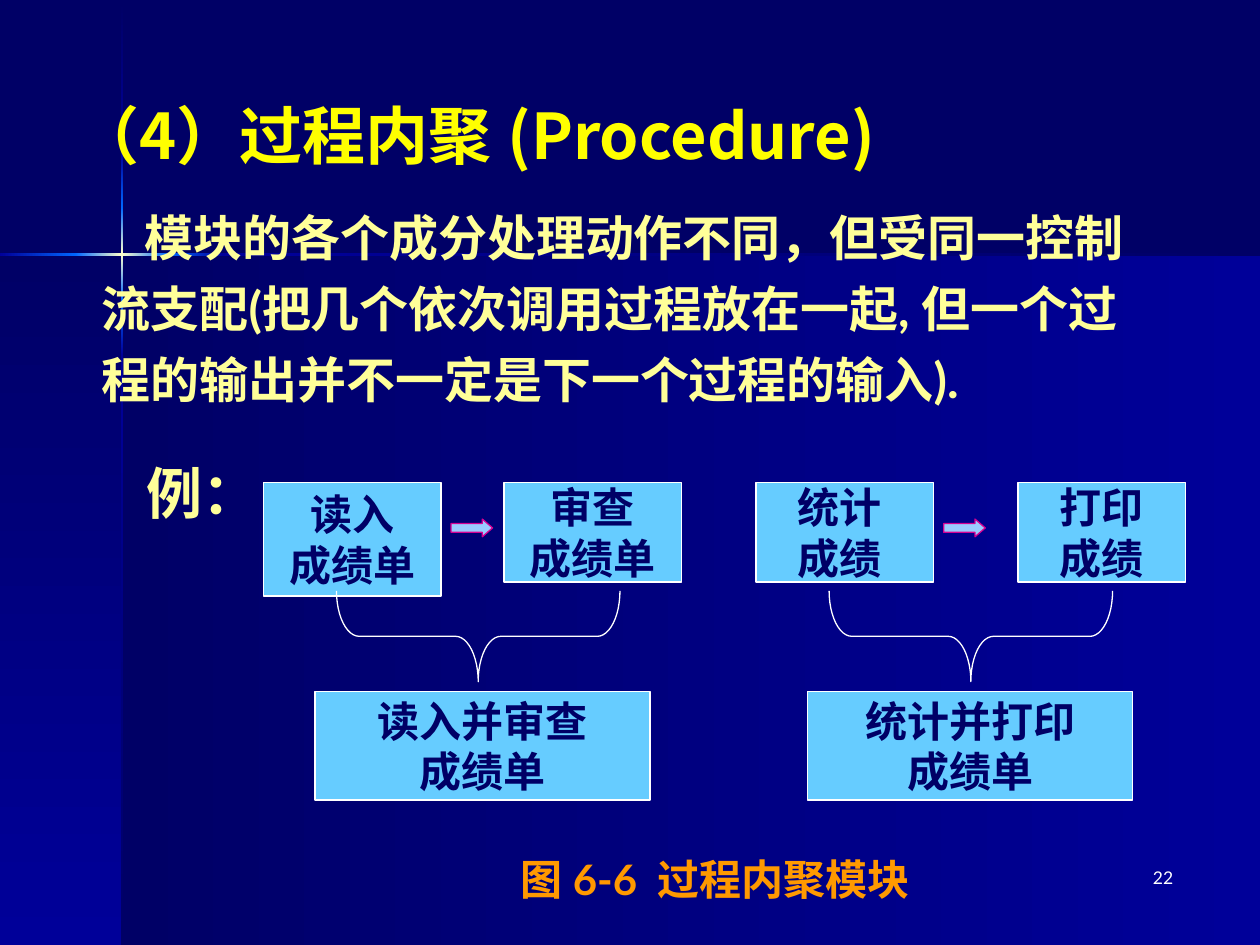
from copy import deepcopy

from lxml import etree
from pptx import Presentation
from pptx.dml.color import RGBColor
from pptx.enum.shapes import MSO_SHAPE
from pptx.enum.text import MSO_ANCHOR, MSO_AUTO_SIZE, PP_ALIGN
from pptx.oxml.ns import qn
from pptx.util import Inches, Pt

RECT, ARROW, BRACE = MSO_SHAPE.RECTANGLE, MSO_SHAPE.RIGHT_ARROW, MSO_SHAPE.RIGHT_BRACE
TOP, MIDDLE = MSO_ANCHOR.TOP, MSO_ANCHOR.MIDDLE
LEFT, CENTER, RIGHT = PP_ALIGN.LEFT, PP_ALIGN.CENTER, PP_ALIGN.RIGHT
NO_AUTOFIT = MSO_AUTO_SIZE.NONE

NAVY = RGBColor(0x00, 0x00, 0x66)
BLUE = RGBColor(0x00, 0x00, 0x99)
GLOW = RGBColor(0x00, 0x66, 0xFF)
CREAM = RGBColor(0xFF, 0xFF, 0xCC)
WHITE = RGBColor(0xFF, 0xFF, 0xFF)
YELLOW = RGBColor(0xFF, 0xFF, 0x00)
PALE_YELLOW = RGBColor(0xFF, 0xFF, 0x99)
ORANGE = RGBColor(0xFF, 0x99, 0x00)
SKY = RGBColor(0x66, 0xCC, 0xFF)
ARROW_BLUE = RGBColor(0x99, 0xCC, 0xFF)
MAGENTA = RGBColor(0xD6, 0x00, 0x93)

LATIN, CJK = "Lato", "Noto Sans CJK SC"
ACROSS, DOWN = 180, 270  # gradient angles, counterclockwise


def write(holder, lines, size, color, font=LATIN, bold=True, align=CENTER,
          anchor=MIDDLE, wrap=False, before=0, margin=0, indents=()):
    """Fill a shape's text frame, one paragraph for each line."""
    frame = holder.text_frame
    frame.auto_size = NO_AUTOFIT
    frame.word_wrap = wrap
    frame.vertical_anchor = anchor
    for i, line in enumerate(lines):
        para = frame.paragraphs[0] if i == 0 else frame.add_paragraph()
        para.alignment = align
        para.space_before = Pt(before)
        if margin:
            props = para._p.get_or_add_pPr()
            props.set("marL", str(Inches(margin)))
            props.set("indent", str(Inches(indents[i])))
        run = para.add_run()
        run.text = line
        run.font.name = font
        run.font.size = Pt(size)
        run.font.bold = bold
        run.font.color.rgb = color
        etree.SubElement(run.font._element, qn("a:ea"), typeface=LATIN)


def add_text(slide, box, lines, size, color, **style):
    holder = slide.shapes.add_textbox(*map(Inches, box))
    write(holder, lines, size, color, **style)


def add_outlined(slide, kind, box, line, fill=None):
    shape = slide.shapes.add_shape(kind, *map(Inches, box))
    shape.shadow.inherit = False
    if fill is None:
        shape.fill.background()
    else:
        shape.fill.solid()
        shape.fill.fore_color.rgb = fill
    shape.line.color.rgb = line
    shape.line.width = Pt(0.75)
    return shape


def add_gradient(slide, box, colors, angle):
    band = slide.shapes.add_shape(RECT, *map(Inches, box))
    band.shadow.inherit = False
    band.line.fill.background()
    band.fill.gradient()
    band.fill.gradient_angle = angle
    stops = band.fill.gradient_stops
    stops[0].position, stops[1].position = 0, 1
    stops[0].color.rgb, stops[1].color.rgb = colors[0], colors[-1]
    if len(colors) == 3:
        first = band._element.spPr.find(".//" + qn("a:gs"))
        middle = deepcopy(first)
        first.addnext(middle)
        middle.set("pos", "50000")
        middle[0].set("val", str(colors[1]))


def draw_backdrop(slide, width, height):
    slide.background.fill.solid()
    slide.background.fill.fore_color.rgb = NAVY
    cross_x, cross_y, thick = 0.97, 2.02, 0.02

    # Panels below the horizontal beam
    add_gradient(slide, (cross_x, cross_y, width - cross_x, height - cross_y),
                 (BLUE, NAVY), ACROSS)
    add_gradient(slide, (0, cross_y, cross_x, height - cross_y), (NAVY, BLUE), DOWN)

    # Vertical beam
    for start, end, colors in (
            (0.01, 1.21, (NAVY, BLUE)), (1.21, 1.65, (BLUE, GLOW)),
            (2.82, height, (BLUE, NAVY)), (2.38, 2.82, (GLOW, BLUE)),
            (1.65, 2.38, (GLOW, CREAM, GLOW))):
        add_gradient(slide, (cross_x - thick / 2, start, thick, end - start), colors, DOWN)

    # Horizontal beam
    for start, end, colors in (
            (1.77, width, (NAVY, BLUE)), (0, 0.61, (GLOW, BLUE)),
            (1.33, 1.77, (BLUE, GLOW)), (0.6, 1.33, (GLOW, CREAM, GLOW))):
        add_gradient(slide, (start, cross_y - thick / 2, end - start, thick), colors, ACROSS)


def place_title(slide, box, text):
    title = slide.shapes.title
    title.left, title.top, title.width, title.height = map(Inches, box)
    write(title, [text], 36, YELLOW, font=CJK, align=LEFT, wrap=True)
    # Bring the title in front of the backdrop
    title._element.getparent().append(title._element)


def draw_module(slide, box, lines, font=LATIN):
    module = add_outlined(slide, RECT, box, WHITE, SKY)
    write(module, lines, 24, NAVY, font=font)


def draw_merge(slide, left, top, first, second, merged, brace_left):
    """Two steps joined by an arrow, and a brace down to the merged module.

    Each module is (offset from left, width, height, lines, font).
    """
    for offset, width, height, lines, font in (first, second):
        draw_module(slide, (left + offset, top, width, height), lines, font)
    offset, width, height, lines, font = merged
    draw_module(slide, (left + offset, top + 1.66, width, height), lines, font)

    # Brace, turned so that its point is at the bottom
    span, depth = 2.25, 0.72
    brace = add_outlined(slide, BRACE, (left + brace_left + (span - depth) / 2,
                                        top + 0.86 - (span - depth) / 2, depth, span), WHITE)
    brace.rotation = 90
    brace.adjustments[0] = 0.25

    # Arrow between the two steps
    arrow = add_outlined(slide, ARROW, (left + first[1] + 0.08 + brace_left - 0.58,
                                        top + 0.29, 0.33, 0.14), MAGENTA, ARROW_BLUE)
    arrow.adjustments[0], arrow.adjustments[1] = 0.5, 0.58


def main():
    deck = Presentation()
    deck.slide_width, deck.slide_height = Inches(10), Inches(7.5)
    slide = deck.slides.add_slide(deck.slide_layouts[5])

    draw_backdrop(slide, 10, 7.5)
    place_title(slide, (0.51, 0.28, 9.49, 1.57), "（4）过程内聚 (Procedure)")

    # Definition
    add_text(slide, (0.35, 1.6, 9.65, 2), [
        "模块的各个成分处理动作不同，但受同一控制",
        "流支配(把几个依次调用过程放在一起, 但一个过",
        "程的输出并不一定是下一个过程的输入).",
    ], 28, PALE_YELLOW, align=LEFT, anchor=TOP, wrap=True, before=7,
        margin=0.36, indents=(0.34, 0, 0))

    # Example
    draw_merge(slide, 2.09, 3.83,
               (0, 1.41, 0.9, ("读入", "成绩单"), CJK),
               (1.91, 1.41, 0.79, ("审查", "成绩单"), LATIN),
               (0.41, 2.66, 0.86, ("读入并审查", "成绩单"), LATIN), 0.58)
    draw_merge(slide, 6, 3.83,
               (0, 1.41, 0.79, ("统计 ", "成绩 "), LATIN),
               (2.08, 1.33, 0.79, ("打印", "成绩"), LATIN),
               (0.41, 2.58, 0.86, ("统计并打印", "成绩单"), LATIN), 0.58)

    # Caption, example label and page number
    add_text(slide, (2.72, 6.82, 5.91, 0.31), ["图 6-6  过程内聚模块"], 24, ORANGE)
    add_text(slide, (0.98, 3.59, 1.25, 0.64), ["例："], 32, PALE_YELLOW,
             anchor=TOP, wrap=True)
    add_text(slide, (7.33, 6.83, 2.08, 0.5), ["22"], 10, WHITE, bold=False,
             align=RIGHT, anchor=TOP, wrap=True)

    deck.save("out.pptx")


if __name__ == "__main__":
    main()
